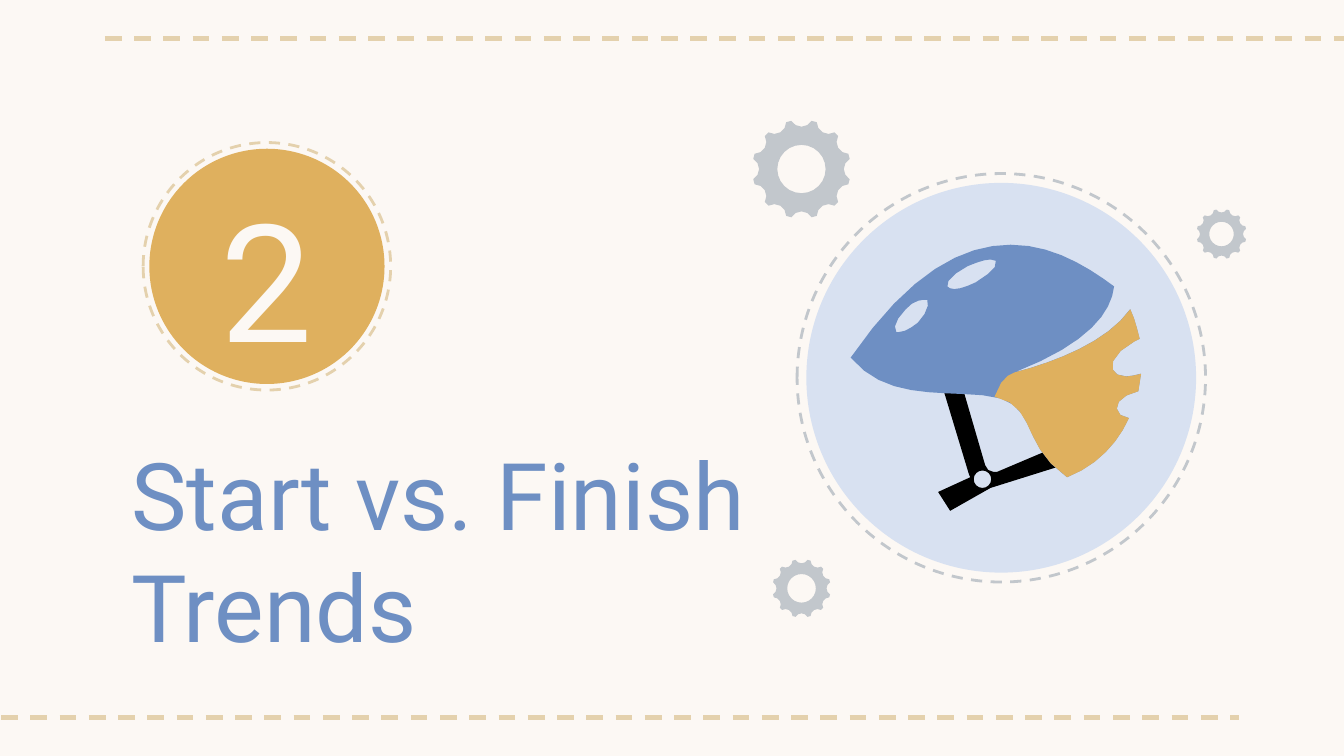
from math import acos, cos, degrees, hypot, radians, sin

from lxml.etree import SubElement
from pptx import Presentation
from pptx.dml.color import RGBColor as Rgb
from pptx.enum.dml import MSO_LINE_DASH_STYLE as Dash
from pptx.enum.shapes import MSO_CONNECTOR as Connector, MSO_SHAPE as Shape
from pptx.enum.text import MSO_ANCHOR as Anchor, PP_ALIGN as Align
from pptx.oxml.ns import qn
from pptx.util import Pt

COLORS = {"cream": "FCF8F4", "sand": "E4D1AD", "ochre": "DFB05E", "blue": "6E8FC3",
          "sky": "D8E1F1", "gray": "C2C7CC", "black": "000000"}
FONT = "Roboto"
GRID = 290

SWEEP = [(186, 133, 224, 118, 241, 94)]
REAR = [(244, 100, 246, 108, 248, 116), (244, 118),
        (232, 124, 225, 134, 228, 139), (229, 142, 233, 144, 238, 144),
        (241, 144, 245, 143, 249, 142), (247, 155),
        (237, 157, 230, 163, 231, 168), (231, 172, 235, 174, 240, 175),
        (232, 193, 217, 210, 194, 219)]
SHELL = [(152, 46), (184, 46, 210, 63, 229, 77), (227, 96, 211, 119, 155, 141),
         *SWEEP, *REAR, (156, 193, 175, 161, 131, 158),
         (95, 155, 58, 160, 33, 130), (77, 66, 117, 46, 152, 46)]
FRONT_VENT = [(87, 87), (84, 87, 78, 89, 74, 94), (67, 101, 64, 108, 67, 111),
              (69, 111), (73, 111, 78, 108, 83, 104), (89, 98, 92, 90, 90, 87)]
TOP_VENT = [(137, 57), (133, 57, 127, 59, 120, 62), (110, 67, 103, 74, 105, 77),
            (106, 78, 107, 79, 110, 79), (114, 79, 120, 77, 126, 74),
            (136, 68, 143, 62, 141, 58)]
GUARD = [(155, 141), *SWEEP, *REAR, (159, 195, 172, 166, 140, 159),
         (145, 145, 150, 143, 155, 141)]
STRAP = [(95, 131), (110, 131), (133, 210), (134, 213, 136, 215, 139, 215),
         (142, 215), (201, 190), (204, 206), (137, 227), (107, 244), (98, 230),
         (122, 219), (121, 217)]


def color(name):
    """Return the named colour."""
    return Rgb.from_string(COLORS[name])


def flatten(segments):
    """Turn line ends and cubic segments into points, more on longer curves."""
    points = []
    for segment in segments:
        if len(segment) == 2:
            points.append(segment)
            continue
        x0, y0 = points[-1]
        x1, y1, x2, y2, x3, y3 = segment
        steps = min(8, 2 + int(hypot(x3 - x0, y3 - y0) / 14))
        for step in range(1, steps + 1):
            t = step / steps
            weights = (1 - t) ** 3, 3 * t * (1 - t) ** 2, 3 * t * t * (1 - t), t ** 3
            points.append((sum(w * x for w, x in zip(weights, (x0, x1, x2, x3))),
                           sum(w * y for w, y in zip(weights, (y0, y1, y2, y3)))))
    return points


def circle(x, y, radius, sides):
    """Return the points of a circle, run anticlockwise."""
    return [(x + radius * cos(radians(360 * n / sides)),
             y - radius * sin(radians(360 * n / sides))) for n in range(sides)]


def add_outline(page, contours, origin, unit, fill):
    """Draw filled contours given in units from an origin."""
    left, top = origin
    placed = [[(Pt(left + x * unit), Pt(top + y * unit)) for x, y in contour]
              for contour in contours]
    builder = page.shapes.build_freeform(*placed[0][0], scale=1.0)
    builder.add_line_segments(placed[0][1:], close=True)
    for contour in placed[1:]:
        builder.move_to(*contour[0])
        builder.add_line_segments(contour[1:], close=True)
    shape = builder.convert_to_shape()
    shape.shadow.inherit = False
    shape.fill.solid()
    shape.fill.fore_color.rgb = color(fill)
    shape.line.fill.background()


def add_gear(page, box, teeth=12, reach=1.1, bite=0.24, hole=0.49):
    """Draw a gear with round bites cut from its rim."""
    left, top, size = box
    half = degrees(acos((reach ** 2 + bite ** 2 - 1) / (2 * reach * bite)))
    rim = []
    for tooth in range(teeth):
        turn = radians(tooth * 360 / teeth)
        for step in range(-2, 3):
            angle = radians(half * step / 2)
            out, side = reach - bite * cos(angle), bite * sin(angle)
            rim.append((out * cos(turn) - side * sin(turn),
                        out * sin(turn) + side * cos(turn)))
    radius = size / 2
    add_outline(page, [rim, circle(0, 0, hole, 24)], (left + radius, top + radius),
                radius, "gray")


def add_medallion(page, box, margin, fill, ring):
    """Draw a disc inside a dashed ring."""
    left, top, size = box
    for gap in (margin, 0):
        shape = page.shapes.add_shape(Shape.OVAL, Pt(left - gap), Pt(top - gap),
                                      Pt(size + 2 * gap), Pt(size + 2 * gap))
        shape.shadow.inherit = False
        if gap:
            shape.fill.background()
            shape.line.color.rgb = color(ring)
            shape.line.width = Pt(1.5)
            shape.line.dash_style = Dash.DASH
        else:
            shape.fill.solid()
            shape.fill.fore_color.rgb = color(fill)
            shape.line.fill.background()


def add_helmet(page, box):
    """Draw the helmet on its medallion."""
    left, top, size = box
    add_medallion(page, box, 5, "sky", "gray")
    parts = [("black", [flatten(STRAP), circle(131, 220.5, 6.5, 16)]),
             ("blue", [flatten(SHELL), flatten(FRONT_VENT), flatten(TOP_VENT)]),
             ("ochre", [flatten(GUARD)])]
    for fill, contours in parts:
        add_outline(page, contours, (left, top), size / GRID, fill)


def add_text(page, box, text, size, fill, align=Align.LEFT, anchor=Anchor.TOP):
    """Write one paragraph in a wrapped box."""
    frame = page.shapes.add_textbox(*map(Pt, box)).text_frame
    frame.word_wrap = True
    frame.vertical_anchor = anchor
    frame.margin_left = frame.margin_right = Pt(7.2)
    frame.margin_top = frame.margin_bottom = Pt(7.2)
    frame.text = text
    para = frame.paragraphs[0]
    para.alignment = align
    span = para.runs[0]
    span.font.name = FONT
    span.font.size = Pt(size)
    span.font.color.rgb = color(fill)


def add_rule(page, left, top, width):
    """Draw a dashed horizontal rule."""
    rule = page.shapes.add_connector(Connector.STRAIGHT, Pt(left), Pt(top),
                                     Pt(left + width), Pt(top))
    rule.line.color.rgb = color("sand")
    rule.line.width = Pt(2.25)
    rule.line.dash_style = Dash.DASH
    SubElement(rule._element.spPr, qn("a:effectLst"))


def add_section(page):
    """Lay out the section title slide."""
    page.background.fill.solid()
    page.background.fill.fore_color.rgb = color("cream")
    add_rule(page, 56.2, 20.6, 679)
    add_rule(page, -15.1, 384.4, 679)
    add_medallion(page, (80, 79.7, 126), 3.3, "ochre", "sand")
    add_helmet(page, (432, 98, 208.8))
    add_text(page, (63.4, 226.8, 369.4, 66.2), "Start vs. Finish Trends", 50, "blue")
    add_text(page, (72, 83.5, 141.8, 129.6), "2", 88, "cream", Align.CENTER, Anchor.MIDDLE)
    for box in ((403, 64.2, 52.8), (641, 112, 26.8), (413.8, 299.6, 31.2)):
        add_gear(page, box)


def main():
    """Build and save the deck."""
    deck = Presentation()
    deck.slide_width, deck.slide_height = Pt(720), Pt(405)
    add_section(deck.slides.add_slide(deck.slide_layouts[6]))
    deck.save("out.pptx")


if __name__ == "__main__":
    main()
